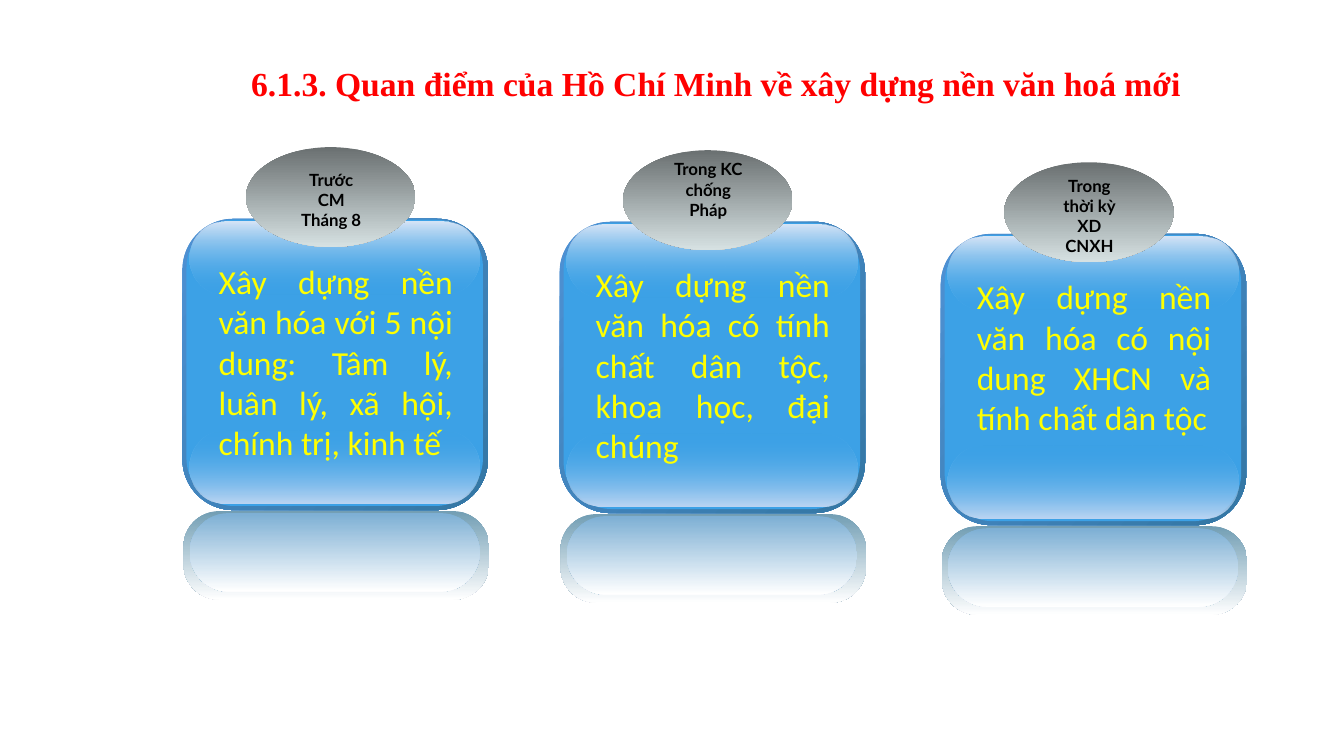
from pptx import Presentation
from pptx.dml.color import RGBColor
from pptx.enum import shapes as kinds, text as txt
from pptx.oxml.ns import qn
from pptx.util import Inches, Pt
from lxml import etree

RED = RGBColor(0xFF, 0x00, 0x00)
YELLOW = RGBColor(0xFF, 0xFF, 0x00)
BLACK = RGBColor(0x00, 0x00, 0x00)
WHITE = RGBColor(0xFF, 0xFF, 0xFF)
BLUE = RGBColor(0x3C, 0xA1, 0xE6)
RIM_LIGHT = RGBColor(0x4E, 0x91, 0xD4)
RIM_DARK = RGBColor(0x34, 0x77, 0xA4)
GLOSS_BOTTOM = RGBColor(0xBD, 0xD6, 0xF3)
GLOSS_TOP = RGBColor(0xD7, 0xE5, 0xF7)
MIRROR_RIM = RGBColor(0x72, 0x9E, 0xB4)
MIRROR_FACE = RGBColor(0x7D, 0xAF, 0xD4)
GREY_DARK = RGBColor(0x6A, 0x70, 0x71)
GREY_LIGHT = RGBColor(0xD6, 0xE1, 0xE2)

ROUNDED = kinds.MSO_SHAPE.ROUNDED_RECTANGLE
OVAL = kinds.MSO_SHAPE.OVAL
DOWN, DIAGONAL = 270, 315

# Layers of a card, back to front, relative to the card's left and top:
# kind, (left, top, width, height), corner, colours, angle, transparent stop
LAYERS = [
    (ROUNDED, (0, 0, 3.03, 2.89), 0.175, (RIM_LIGHT, RIM_DARK), DIAGONAL, None),
    (ROUNDED, (0.04, 0.01, 2.94, 2.84), 0.167, (BLUE,), None, None),
    (ROUNDED, (0.07, 2.1, 2.88, 0.72), 0.5, (BLUE, GLOSS_BOTTOM), DOWN, 0),
    (ROUNDED, (0.07, 0.03, 2.88, 0.72), 0.5, (GLOSS_TOP, BLUE), DOWN, 1),
    (ROUNDED, (0.01, 2.9, 3.03, 0.88), 0.404, (MIRROR_RIM, WHITE), DOWN, None),
    (ROUNDED, (0.07, 2.92, 2.88, 0.78), 0.5, (MIRROR_FACE, WHITE), DOWN, None),
    (OVAL, (0.63, -0.71, 1.68, 0.99), None, (GREY_DARK, GREY_LIGHT), DOWN, None),
]

# Card left and top, label, label top and height, content, content height
CARDS = [
    (1.81, 2.17, "Trước CM Tháng 8", 1.63, 0.71,
     "Xây dựng nền văn hóa với 5 nội dung: Tâm lý, luân lý, xã hội, "
     "chính trị, kinh tế", 2.12),
    (5.55, 2.20, "Trong KC chống Pháp", 1.53, 0.91,
     "Xây dựng nền văn hóa có tính chất dân tộc, khoa học, đại chúng", 2.12),
    (9.33, 2.32, "Trong thời kỳ XD CNXH", 1.69, 0.91,
     "Xây dựng nền văn hóa có nội dung XHCN và tính chất dân tộc", 1.72),
]


def fill_gradient(shape, colours, angle, clear_stop):
    shape.fill.gradient()
    shape.fill.gradient_angle = angle
    for stop, colour in zip(shape.fill.gradient_stops, colours):
        stop.color.rgb = colour
    if clear_stop is not None:
        colour_nodes = list(shape.element.spPr.iter(qn("a:srgbClr")))
        etree.SubElement(colour_nodes[clear_stop], qn("a:alpha"), val="0")


def add_layer(card, left, top, layer):
    kind, (dx, dy, width, height), corner, colours, angle, clear_stop = layer
    shape = card.shapes.add_shape(kind, Inches(left + dx), Inches(top + dy),
                                  Inches(width), Inches(height))
    shape.shadow.inherit = False
    shape.line.fill.background()
    if corner is not None:
        shape.adjustments[0] = corner
    if angle is None:
        shape.fill.solid()
        shape.fill.fore_color.rgb = colours[0]
    else:
        fill_gradient(shape, colours, angle, clear_stop)


def write(frame, words, font, size, colour, align, bold=False):
    frame.word_wrap = True
    frame.auto_size = txt.MSO_AUTO_SIZE.NONE
    frame.vertical_anchor = txt.MSO_ANCHOR.TOP
    paragraph = frame.paragraphs[0]
    paragraph.alignment = align
    run = paragraph.add_run()
    run.text = words
    run.font.name = font
    run.font.size = Pt(size)
    run.font.bold = bold
    run.font.color.rgb = colour


def add_text(card, left, top, width, height, *style):
    box = card.shapes.add_textbox(Inches(left), Inches(top),
                                  Inches(width), Inches(height))
    write(box.text_frame, *style)


def add_card(slide, left, top, label, label_top, label_height,
             content, content_height):
    card = slide.shapes.add_group_shape()
    for layer in LAYERS:
        add_layer(card, left, top, layer)
    add_text(card, left + 1.03, label_top, 0.89, label_height,
             label, "Lato", 12, BLACK, txt.PP_ALIGN.CENTER, True)
    add_text(card, left + 0.26, top + 0.37, 2.52, content_height,
             content, "Calibri", 24, YELLOW, txt.PP_ALIGN.JUSTIFY)


def add_title(slide, words):
    title = slide.shapes.title
    title.left, title.top = Inches(2.39), Inches(0.57)
    title.width, title.height = Inches(9.8), Inches(0.5)
    write(title.text_frame, words, "Times New Roman", 24, RED,
          txt.PP_ALIGN.LEFT, True)


def main():
    deck = Presentation()
    deck.slide_width, deck.slide_height = Inches(13.33), Inches(7.5)
    slide = deck.slides.add_slide(deck.slide_layouts[5])  # title only

    # Heading
    add_title(slide, "6.1.3. Quan điểm của Hồ Chí Minh về xây dựng nền văn hoá mới")

    # One card per historical period
    for card in CARDS:
        add_card(slide, *card)

    deck.save("out.pptx")


if __name__ == "__main__":
    main()
